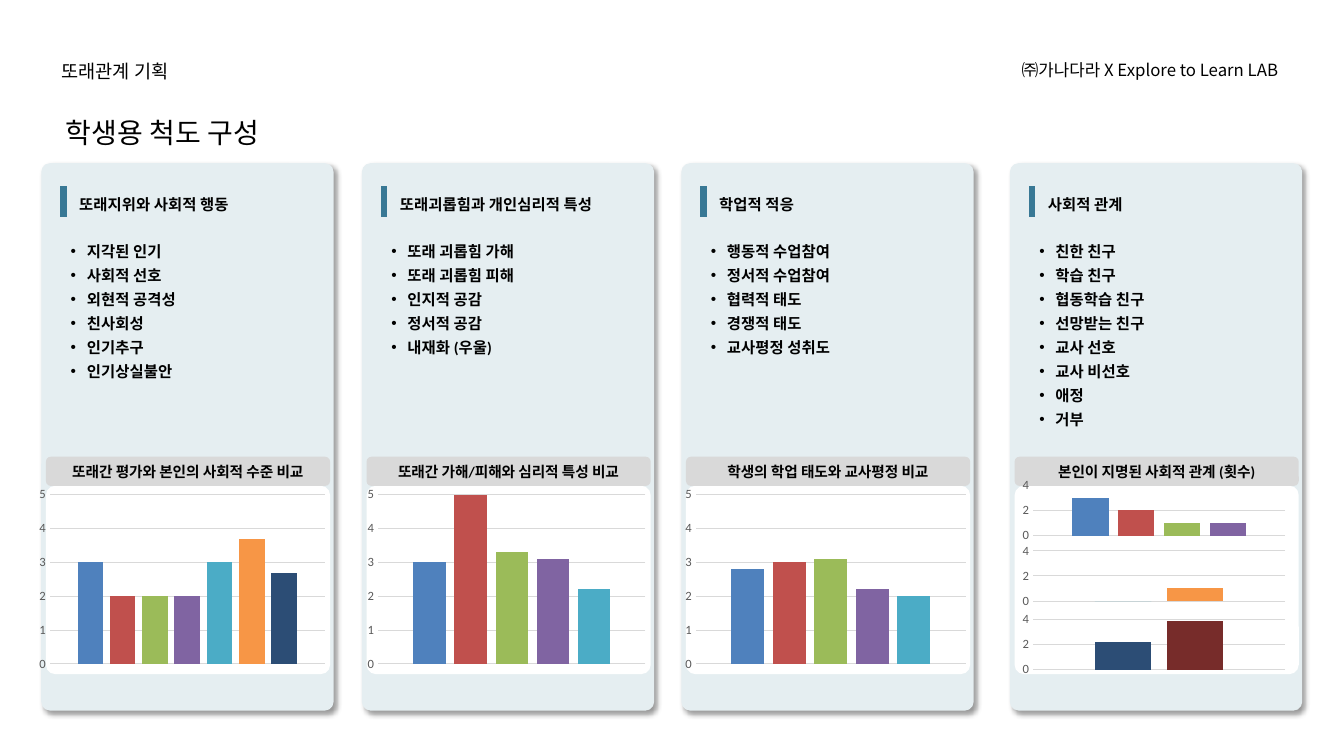
"""Build the student scale overview slide with four cards of lists and charts."""
from lxml import etree
from pptx import Presentation
from pptx import util as u
from pptx.chart.data import CategoryChartData
from pptx.dml.color import RGBColor
from pptx.enum import chart as ch, shapes, text
from pptx.oxml import parse_xml
from pptx.oxml.ns import nsdecls, qn

Pt = u.Pt
COLORS = {
    "ink": "000000", "card": "E5EEF1", "accent": "387895", "panel": "FFFFFF",
    "label": "D9D9D9", "grid": "D9D9D9", "tick": "595959",
    "blue": "4F81BD", "red": "C0504D", "green": "9BBB59", "purple": "8064A2",
    "teal": "4BACC6", "orange": "F79646", "navy": "2C4D75", "maroon": "772C2A",
}
PALETTE = ["blue", "red", "green", "purple", "teal", "orange", "navy", "maroon"]
CARD_TOP, CARD_W, CARD_H = 116.6, 208.8, 391
CARDS = [
    {"left": 29.5, "list_w": 140.4, "title": "또래지위와 사회적 행동",
     "items": ["지각된 인기", "사회적 선호", "외현적 공격성", "친사회성", "인기추구", "인기상실불안"],
     "label": "또래간 평가와 본인의 사회적 수준 비교",
     "chart": (23.8, 212.4), "values": [3, 2, 2, 2, 3, 3.7, 2.7]},
    {"left": 258.5, "list_w": 140.4, "title": "또래괴롭힘과 개인심리적 특성",
     "items": ["또래 괴롭힘 가해", "또래 괴롭힘 피해", "인지적 공감", "정서적 공감", "내재화 (우울)"],
     "label": "또래간 가해/피해와 심리적 특성 비교",
     "chart": (258.5, 206.6), "values": [3, 5, 3.3, 3.1, 2.2]},
    {"left": 486.7, "list_w": 140.4, "title": "학업적 적응",
     "items": ["행동적 수업참여", "정서적 수업참여", "협력적 태도", "경쟁적 태도", "교사평정 성취도"],
     "label": "학생의 학업 태도와 교사평정 비교",
     "chart": (485.3, 208.8), "values": [2.8, 3, 3.1, 2.2, 2]},
    {"left": 721.4, "list_w": 128.2, "title": "사회적 관계",
     "items": ["친한 친구", "학습 친구", "협동학습 친구", "선망받는 친구",
               "교사 선호", "교사 비선호", "애정", "거부"],
     "label": "본인이 지명된 사회적 관계 (횟수)"},
]
RELATION_CHARTS = [(327.6, [3, 2, 1, 1], 0), (374.4, [0, 1], 4), (423.4, [2.2, 3.9], 6)]
PLOT = {"x": 0.105, "y": 0.09, "w": 0.851, "h": 0.768}


def rgb(name):
    """Return the named colour."""
    return RGBColor.from_string(COLORS[name])


class Board:
    """Hold the slide and its text style."""

    def __init__(self, slide, font="Calibri"):
        """Keep the slide and its main font."""
        self.slide, self.font = slide, font

    def set_text(self, sp, lines, size, bold=False, align=text.PP_ALIGN.LEFT,
                 spacing=1.16, font=None, inset=0):
        """Fill a shape with formatted paragraphs."""
        tf = sp.text_frame
        tf.text = "\n".join(lines)
        tf.word_wrap = True
        tf.auto_size = text.MSO_AUTO_SIZE.NONE
        tf.vertical_anchor = text.MSO_ANCHOR.TOP
        tf.margin_left = tf.margin_right = Pt(inset)
        tf.margin_top = tf.margin_bottom = 0
        for p in tf.paragraphs:
            p.alignment, p.line_spacing = align, spacing
            p.space_before = p.space_after = Pt(0)
            for r in p.runs:
                r.font.size, r.font.bold = Pt(size), bold
                r.font.name = font or self.font
                r.font.color.rgb = rgb("ink")
                ea = etree.SubElement(r.font._element, qn("a:ea"))
                ea.set("typeface", font or self.font)
        return tf

    def textbox(self, box, line, size, **style):
        """Add a text box."""
        self.set_text(self.slide.shapes.add_textbox(*map(Pt, box)), [line], size, **style)

    def placeholder(self, sp, box, lines, size, **style):
        """Move a placeholder to the front and fill it."""
        sp.left, sp.top, sp.width, sp.height = map(Pt, box)
        sp.element.getparent().append(sp.element)
        return self.set_text(sp, lines, size, **style)

    def bullets(self, sp, box, items):
        """Set a bulleted list in a body placeholder."""
        tf = self.placeholder(sp, box, items, 11, bold=True, spacing=1.3)
        tf.auto_size = text.MSO_AUTO_SIZE.SHAPE_TO_FIT_TEXT
        for p in tf.paragraphs:
            pr = p._p.get_or_add_pPr()
            pr.set("marL", str(Pt(11.5)))
            pr.set("indent", str(-Pt(11.5)))
            etree.SubElement(pr, qn("a:buFont")).set("typeface", "Arial")
            etree.SubElement(pr, qn("a:buChar")).set("char", "•")

    def rounded(self, box, fill=None, corner=0.17, shadow=False):
        """Add a rounded rectangle."""
        sp = self.slide.shapes.add_shape(
            shapes.MSO_SHAPE.ROUNDED_RECTANGLE, *map(Pt, box))
        sp.adjustments[0] = corner
        sp.shadow.inherit = False
        sp.line.fill.background()
        if fill:
            sp.fill.solid()
            sp.fill.fore_color.rgb = rgb(fill)
        else:
            sp.fill.background()
        if shadow:
            effects = sp._element.spPr.find(qn("a:effectLst"))
            effects.append(parse_xml(
                f'<a:outerShdw {nsdecls("a")} blurRad="{Pt(4)}" dist="{Pt(3)}" '
                'dir="2700000" algn="tl" rotWithShape="0"><a:srgbClr val="000000">'
                '<a:alpha val="40000"/></a:srgbClr></a:outerShdw>'))
        return sp

    def accent(self, x, top, bottom):
        """Add a thick vertical accent line."""
        line = self.slide.shapes.add_connector(
            shapes.MSO_CONNECTOR.STRAIGHT, Pt(x), Pt(bottom), Pt(x), Pt(top))
        line.line.color.rgb = rgb("accent")
        line.line.width = Pt(4.5)
        etree.SubElement(line._element.spPr, qn("a:effectLst"))

    def card(self, left, title, label):
        """Add a card with its heading, chart panel and panel label."""
        self.rounded((left, CARD_TOP, CARD_W, CARD_H), "card", 0.03, True)
        self.accent(left + 15.8, 133.2, 154.8)
        self.rounded((left + 3.3, 347, 203, 134.6), "panel", 0.05)
        for box, fill, line, size, style in (
                ((left + 26, 133.2, 166.3, 21.6), None, title, 11, {"spacing": 1.3}),
                ((left + 3.3, 326.2, 203, 20.9), "label", label, 10.5,
                 {"spacing": 1.0, "align": text.PP_ALIGN.CENTER, "inset": 7.2})):
            tf = self.set_text(self.rounded(box, fill), [line], size, bold=True, **style)
            tf.vertical_anchor = text.MSO_ANCHOR.MIDDLE

    def columns(self, box, values, first=0, unit=1, plot=None):
        """Add a column chart with one coloured series per value."""
        data = CategoryChartData()
        data.categories = ["1"]
        for i, value in enumerate(values, 1):
            data.add_series(f"Series {i}", [value])
        chart = self.slide.shapes.add_chart(
            ch.XL_CHART_TYPE.COLUMN_CLUSTERED, *map(Pt, box), data).chart
        chart.has_legend = chart.has_title = False
        chart.font.size, chart.font.name = Pt(10), self.font
        chart.font.color.rgb = rgb("ink")
        chart.category_axis.visible = False
        axis = chart.value_axis
        axis.minimum_scale, axis.maximum_scale, axis.major_unit = 0, 5.5, unit
        axis.major_tick_mark = axis.minor_tick_mark = ch.XL_TICK_MARK.NONE
        axis.format.line.fill.background()
        axis.major_gridlines.format.line.color.rgb = rgb("grid")
        axis.major_gridlines.format.line.width = Pt(0.75)
        ticks = axis.tick_labels
        ticks.number_format, ticks.number_format_is_linked = "General", False
        ticks.font.size, ticks.font.name = Pt(9), self.font
        ticks.font.color.rgb = rgb("tick")
        bars = chart.plots[0]
        bars.gap_width, bars.overlap, bars.vary_by_categories = 219, -27, False
        for series, color in zip(bars.series, PALETTE[first:]):
            series.format.fill.solid()
            series.format.fill.fore_color.rgb = rgb(color)
        if plot:
            area = chart._chartSpace.chart.plotArea
            for old in area.findall(qn("c:layout")):
                area.remove(old)
            marks = '<c:layoutTarget val="inner"/><c:xMode val="edge"/><c:yMode val="edge"/>'
            marks += "".join(f'<c:{k} val="{v}"/>' for k, v in plot.items())
            area.insert(0, parse_xml(f'<c:layout {nsdecls("c")}><c:manualLayout>'
                                     f'{marks}</c:manualLayout></c:layout>'))


def main():
    """Build and save the slide."""
    prs = Presentation()
    prs.slide_width, prs.slide_height = Pt(960), Pt(540)
    slide = prs.slides.add_slide(prs.slide_layouts[4])
    board = Board(slide)
    title, *lists = list(slide.placeholders)
    noto = "Noto Sans CJK KR"
    board.textbox((43.9, 40.3, 178.6, 18.7), "또래관계 기획", 13.3, font=noto)
    board.textbox((724.3, 40.3, 191.5, 18.7), "㈜가나다라 X Explore to Learn LAB ", 12,
                  font=noto, align=text.PP_ALIGN.RIGHT)
    board.placeholder(title, (46.8, 78.5, 154.8, 31), ["학생용 척도 구성"], 20)
    for card, sp in zip(CARDS, lists):
        board.card(card["left"], card["title"], card["label"])
        items = card["items"]
        board.bullets(sp, (card["left"] + 21, 169.2, card["list_w"], 17.1 * len(items)), items)
        if "chart" in card:
            left, width = card["chart"]
            board.columns((left, 338.4, width, 144), card["values"])
    for top, values, first in RELATION_CHARTS:
        board.columns((715.7, top, 211.7, 64.1), values, first, 2, PLOT)
    prs.save("out.pptx")


if __name__ == "__main__":
    main()
